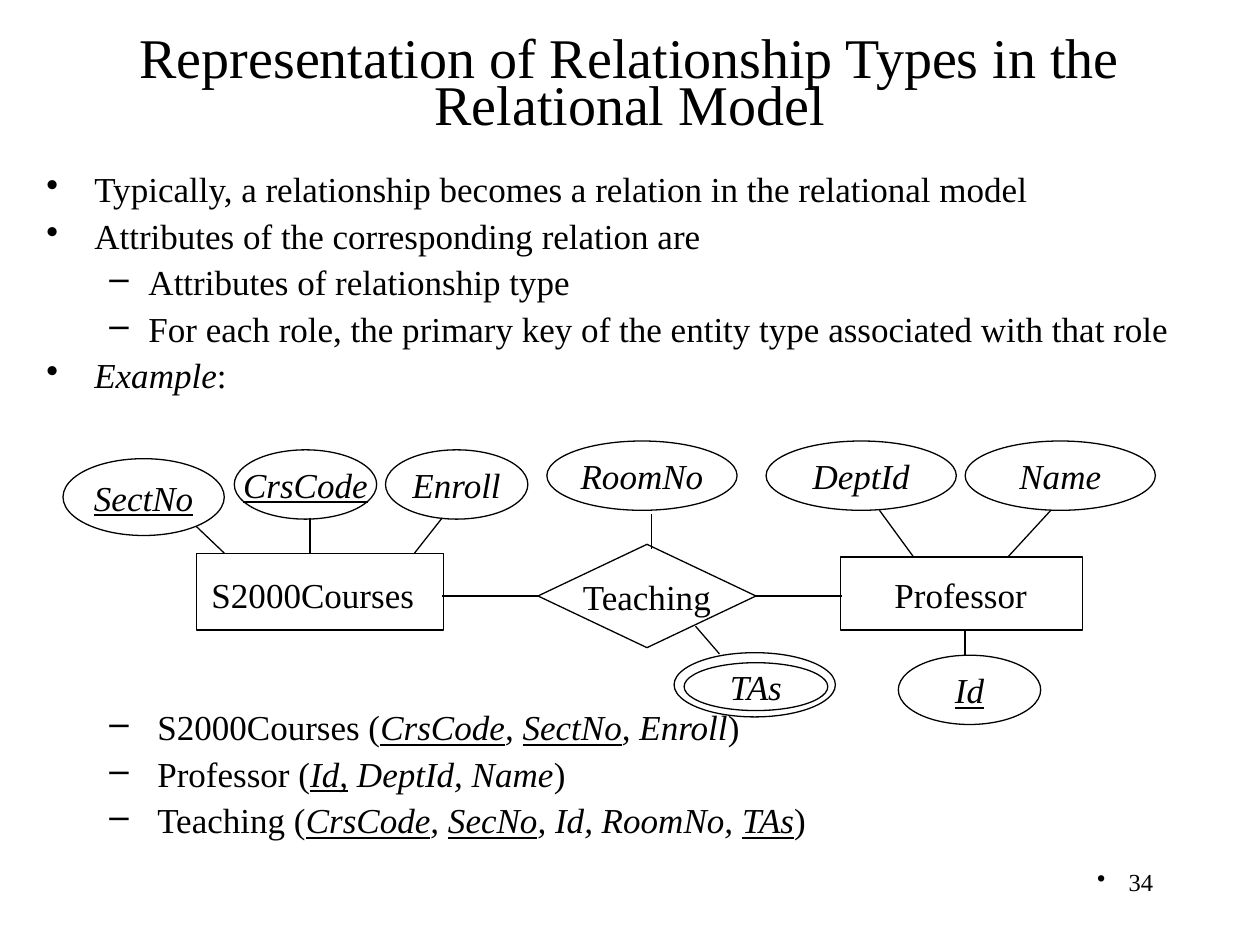
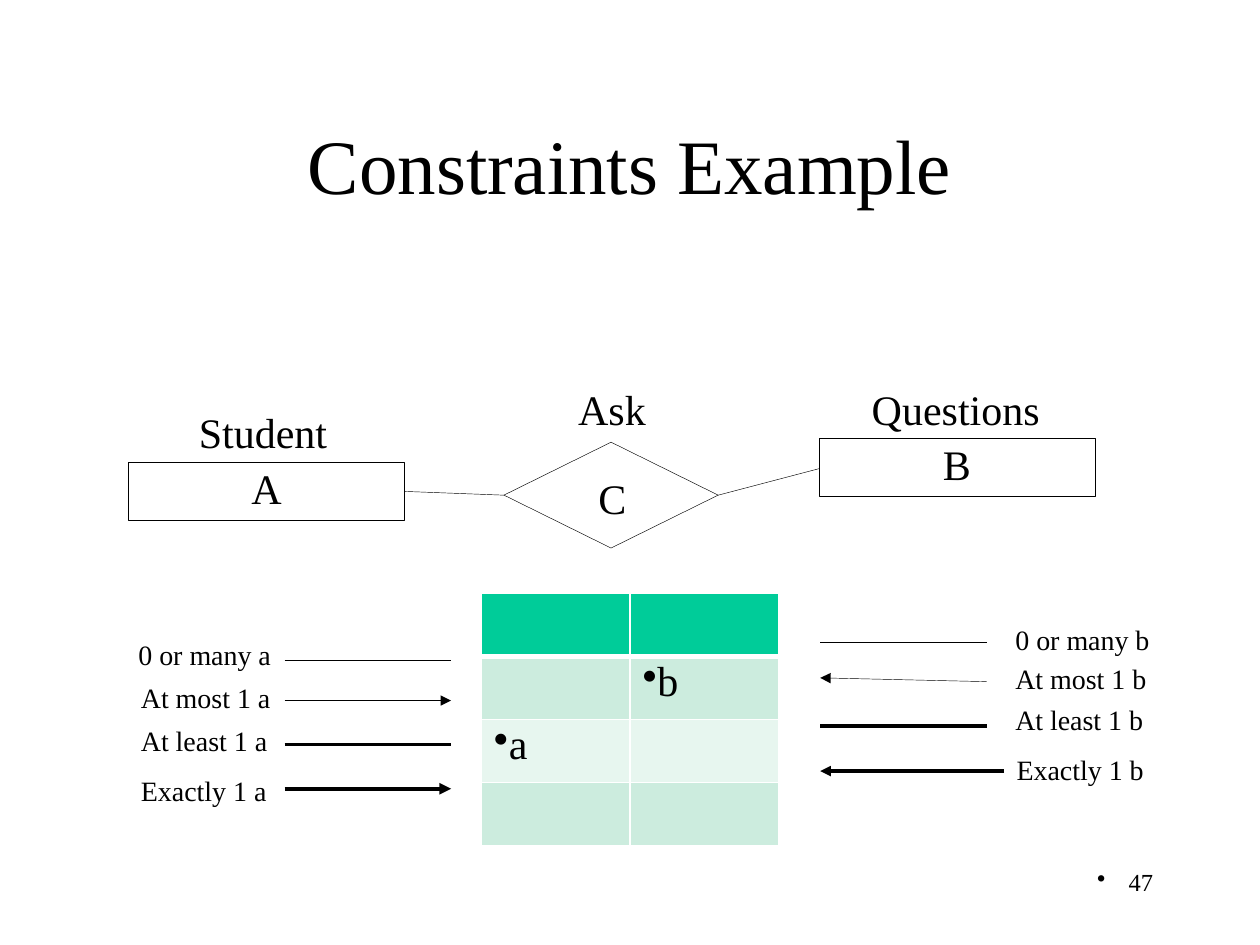
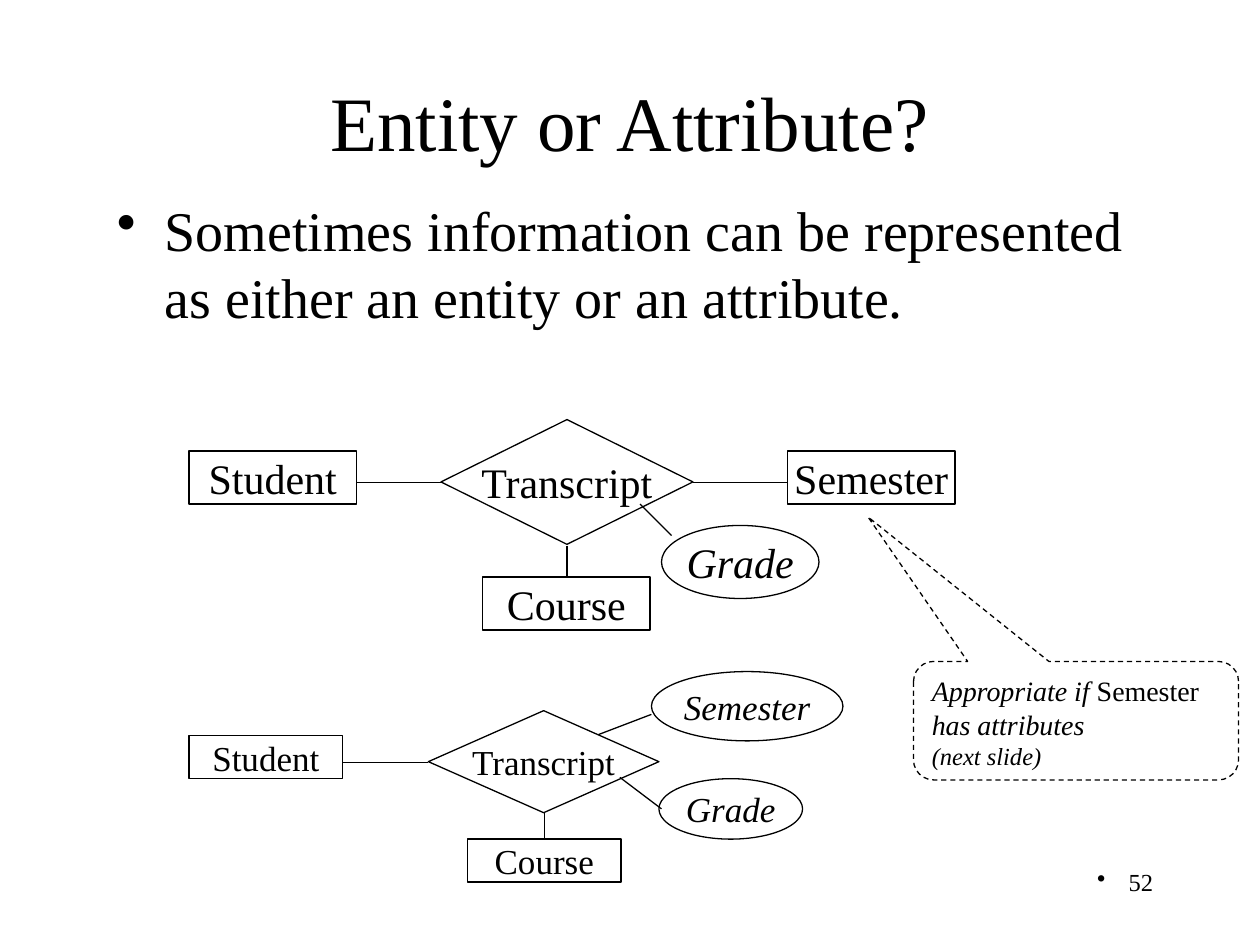
from dataclasses import dataclass
from typing import NamedTuple

from lxml.etree import SubElement
from pptx import Presentation
from pptx.dml.color import RGBColor
from pptx.enum.dml import MSO_LINE
from pptx.enum.shapes import MSO_CONNECTOR, MSO_SHAPE
from pptx.enum.text import MSO_ANCHOR, PP_ALIGN
from pptx.oxml import parse_xml
from pptx.oxml.ns import nsdecls, qn
from pptx.util import Inches, Pt


@dataclass(frozen=True)
class Theme:
    font: str = "Times New Roman"
    ink: RGBColor = RGBColor(0, 0, 0)
    paper: RGBColor = RGBColor(0xFF, 0xFF, 0xFF)
    header: RGBColor = RGBColor(0x00, 0xCC, 0x99)
    band: RGBColor = RGBColor(0xCC, 0xEC, 0xDE)
    band_light: RGBColor = RGBColor(0xE7, 0xF6, 0xEF)
    title: int = 44
    heading: int = 32
    large: int = 24
    medium: int = 20
    small: int = 16
    tiny: int = 14
    thin: float = 0.25
    line: float = 0.75
    thick: float = 2


THEME = Theme()


class Box(NamedTuple):
    x: float
    y: float
    w: float
    h: float


class Span(NamedTuple):
    text: str
    italic: bool = False
    underline: bool = False


@dataclass(frozen=True)
class Para:
    spans: tuple[Span, ...]
    bullet: str = ""
    left: float = 0
    hang: float = 0
    size: int = 0


@dataclass(frozen=True)
class Node:
    """An entity, relationship or attribute of a diagram."""
    kind: MSO_SHAPE
    box: Box
    text: str = ""
    size: int = THEME.medium
    underline: bool = False


class Link(NamedTuple):
    x1: float
    y1: float
    x2: float
    y2: float
    width: float = THEME.line
    arrow: bool = False


class Label(NamedTuple):
    text: str
    box: Box


RECT, DIAMOND, OVAL = MSO_SHAPE.RECTANGLE, MSO_SHAPE.DIAMOND, MSO_SHAPE.OVAL


# Text
def plain(text: str, **layout) -> Para:
    return Para((Span(text),), **layout)


def set_bullet(p, para: Para) -> None:
    pPr = p._p.get_or_add_pPr()
    pPr.set("marL", str(Inches(para.left)))
    pPr.set("indent", str(-Inches(para.hang)))
    SubElement(pPr, qn("a:buChar")).set("char", para.bullet)


def write(tf, paras: list[Para], size: int, align=PP_ALIGN.LEFT,
          spacing: float = 1, before: float = 0) -> None:
    for i, para in enumerate(paras):
        p = tf.add_paragraph() if i else tf.paragraphs[0]
        if para.bullet:
            set_bullet(p, para)
        p.alignment = align
        p.line_spacing = spacing
        p.space_before = Pt(before if i else 0)
        for span in para.spans:
            r = p.add_run()
            r.text = span.text
            r.font.name = THEME.font
            r.font.size = Pt(para.size or size)
            r.font.color.rgb = THEME.ink
            r.font.italic = span.italic
            r.font.underline = span.underline


def add_text(s, box: Box, paras: list[Para], size: int, wrap: bool = True,
             anchor=MSO_ANCHOR.TOP, **layout) -> None:
    tf = s.shapes.add_textbox(*map(Inches, box)).text_frame
    tf.word_wrap = wrap
    tf.vertical_anchor = anchor
    write(tf, paras, size, **layout)


def add_labels(s, labels: list[Label], size: int, spacing: float = 1) -> None:
    for label in labels:
        add_text(s, label.box, [plain(label.text)], size, wrap=False, spacing=spacing)


# Shapes and lines
def add_outline(s, kind, box: Box, width: float = THEME.line):
    sp = s.shapes.add_shape(kind, *map(Inches, box))
    sp.shadow.inherit = False
    sp.fill.background()
    sp.line.color.rgb = THEME.ink
    sp.line.width = Pt(width)
    return sp


def add_nodes(s, nodes: list[Node]) -> None:
    for node in nodes:
        sp = add_outline(s, node.kind, node.box)
        if node.text:
            tf = sp.text_frame
            tf.word_wrap = False
            tf.vertical_anchor = MSO_ANCHOR.MIDDLE
            span = Span(node.text, node.kind == OVAL, node.underline)
            write(tf, [Para((span,))], node.size, PP_ALIGN.CENTER)


def add_links(s, links: list[Link]) -> None:
    for link in links:
        cx = s.shapes.add_connector(MSO_CONNECTOR.STRAIGHT, *map(Inches, link[:4]))
        cx.line.color.rgb = THEME.ink
        cx.line.width = Pt(link.width)
        if link.arrow:
            SubElement(cx.line._get_or_add_ln(), qn("a:tailEnd")).set("type", "triangle")
        SubElement(cx.element.spPr, qn("a:effectLst"))


# Frame shared by all slides
def add_slide(prs, title: str, box: Box, number: int,
              size: int = THEME.title, spacing: float = 1):
    s = prs.slides.add_slide(prs.slide_layouts[6])
    s.background.fill.solid()
    s.background.fill.fore_color.rgb = THEME.paper
    add_text(s, box, [plain(title)], size, anchor=MSO_ANCHOR.MIDDLE,
             align=PP_ALIGN.CENTER, spacing=spacing)
    add_text(s, Box(7.17, 6.83, 2.08, 0.5),
             [plain(str(number), bullet="•", left=0.25, hang=0.25)],
             THEME.tiny, align=PP_ALIGN.RIGHT)
    return s


# Slide: relationship types
def relationship_slide(prs) -> None:
    s = add_slide(prs, "Representation of Relationship Types in the Relational Model",
                  Box(0.75, 0.25, 8.5, 0.9), 34, THEME.heading, 0.7)
    top = dict(bullet="•", left=0.38, hang=0.38)
    sub = dict(bullet="–", left=0.81, hang=0.31)
    schema = dict(bullet="–", left=0.88, hang=0.38)
    rules = [
        plain("Typically, a relationship becomes a relation in the relational model", **top),
        plain("Attributes of the corresponding relation are", **top),
        plain("Attributes of relationship type", **sub),
        plain("For each role, the primary key of the entity type associated with that role",
              **sub),
        Para((Span("Example", True), Span(":")), **top),
    ]
    crs_code, comma = Span("CrsCode", True, True), Span(", ", True)
    schemas = [
        Para((Span("S2000Courses ("), crs_code, comma, Span("SectNo", True, True),
              Span(", Enroll", True), Span(")")), **schema),
        Para((Span("Professor ("), Span("Id,", True, True),
              Span(" DeptId, Name", True), Span(")")), **schema),
        Para((Span("Teaching ("), crs_code, comma, Span("SecNo", True, True),
              Span(", Id, RoomNo, ", True), Span("TAs", True, True), Span(")")), **schema),
    ]
    for y, h, paras in ((1.32, 1.9, rules), (5.59, 1.2, schemas)):
        add_text(s, Box(0.27, y, 9.42, h), paras, THEME.medium, spacing=0.9, before=5)

    add_nodes(s, [
        Node(RECT, Box(6.67, 4.42, 1.92, 0.58)),
        Node(RECT, Box(1.56, 4.39, 1.96, 0.61)),
        Node(DIAMOND, Box(4.27, 4.32, 1.73, 0.82), "Teaching"),
        Node(OVAL, Box(6.08, 3.5, 1.51, 0.55), "DeptId"),
        Node(OVAL, Box(7.66, 3.5, 1.51, 0.55), "Name"),
        Node(OVAL, Box(4.34, 3.5, 1.51, 0.55), "RoomNo"),
        Node(OVAL, Box(1.86, 3.57, 1.13, 0.55), "CrsCode", underline=True),
        Node(OVAL, Box(3.06, 3.57, 1.13, 0.55), "Enroll"),
        Node(OVAL, Box(0.5, 3.64, 1.28, 0.61), "SectNo", underline=True),
        Node(OVAL, Box(7.13, 5.2, 1.13, 0.55), "Id", underline=True),
        Node(OVAL, Box(5.43, 5.26, 1.14, 0.38), "TAs"),
        Node(OVAL, Box(5.35, 5.18, 1.28, 0.51)),
    ])
    add_labels(s, [Label("S2000Courses", Box(1.58, 4.5, 1.81, 0.43)),
                   Label("Professor", Box(7, 4.5, 1.25, 0.43))], THEME.medium)
    add_links(s, [
        Link(8.34, 4.05, 8, 4.42), Link(6.98, 4.05, 7.25, 4.42),
        Link(5.17, 4.08, 5.17, 4.36), Link(3.51, 4.11, 3.29, 4.39),
        Link(2.46, 4.11, 2.46, 4.39), Link(1.56, 4.18, 1.78, 4.39),
        Link(4.27, 4.73, 3.51, 4.73), Link(6, 4.73, 6.68, 4.73),
        Link(7.66, 5, 7.66, 5.2), Link(5.52, 4.97, 5.71, 5.19),
    ])


# Slide: constraints
def set_borders(cell, widths: dict[str, float]) -> None:
    tcPr = cell._tc.get_or_add_tcPr()
    for i, (side, width) in enumerate(widths.items()):
        tcPr.insert(i, parse_xml(
            f'<a:ln{side} {nsdecls("a")} w="{Pt(width)}"><a:solidFill>'
            f'<a:srgbClr val="{THEME.paper}"/></a:solidFill></a:ln{side}>'))


def add_pair_table(s) -> None:
    fills = (THEME.header, THEME.band, THEME.band_light, THEME.band)
    entries = {(1, 1): "b", (2, 0): "a"}
    table = s.shapes.add_table(len(fills), 2, Inches(3.82), Inches(4.71),
                               Inches(2.36), Inches(2)).table
    table.first_row = table.horz_banding = False
    for row, fill in enumerate(fills):
        table.rows[row].height = Inches(0.5)
        for col in range(2):
            cell = table.cell(row, col)
            cell.fill.solid()
            cell.fill.fore_color.rgb = fill
            set_borders(cell, {"L": 1, "R": 1, "T": 3 if row == 1 else 1,
                               "B": 3 if row == 0 else 1})
            if (row, col) in entries:
                write(cell.text_frame, [plain(entries[row, col], bullet="•")],
                      THEME.large, spacing=0.9)


def constraints_slide(prs) -> None:
    s = add_slide(prs, "Constraints Example", Box(0.75, 0.67, 8.5, 1.25), 47)
    for text, x, y in (("A", 1.02, 3.67), ("B", 6.5, 3.48)):
        sp = add_outline(s, RECT, Box(x, y, 2.19, 0.46), THEME.thin)
        sp.fill.solid()
        sp.fill.fore_color.rgb = THEME.paper
        sp.text_frame.vertical_anchor = MSO_ANCHOR.TOP
        write(sp.text_frame, [plain(text)], THEME.large, PP_ALIGN.CENTER, 0.9)
    add_outline(s, MSO_SHAPE.FLOWCHART_DECISION, Box(4, 3.51, 1.7, 0.84), THEME.thin)
    add_labels(s, [
        Label("C", Box(4.65, 3.75, 0.43, 0.46)),
        Label("Student", Box(1.48, 3.22, 1.23, 0.46)),
        Label("Questions", Box(6.82, 3.04, 1.55, 0.46)),
        Label("Ask", Box(4.49, 3.04, 0.75, 0.46)),
    ], THEME.large, 0.9)
    add_pair_table(s)

    # Legend of line styles on both sides
    add_labels(s, [
        Label("0 or many a", Box(1, 5.04, 1.27, 0.34)),
        Label("At most 1 a", Box(1.02, 5.38, 1.25, 0.34)),
        Label("At least 1 a", Box(1.02, 5.72, 1.22, 0.34)),
        Label("Exactly 1 a", Box(1.02, 6.12, 1.21, 0.34)),
        Label("0 or many b", Box(7.96, 4.92, 1.28, 0.34)),
        Label("At most 1 b", Box(7.96, 5.23, 1.26, 0.34)),
        Label("At least 1 b", Box(7.96, 5.56, 1.23, 0.34)),
        Label("Exactly 1 b", Box(7.97, 5.95, 1.23, 0.34)),
    ], THEME.small, 0.9)
    add_links(s, [
        Link(5.7, 3.93, 6.5, 3.72, THEME.thin),
        Link(3.21, 3.9, 4, 3.93, THEME.thin),
        Link(2.26, 5.24, 3.58, 5.24, THEME.thin),
        Link(2.26, 5.56, 3.58, 5.56, THEME.thin, True),
        Link(2.26, 5.91, 3.58, 5.91, THEME.thick),
        Link(2.26, 6.26, 3.58, 6.26, 2.25, True),
        Link(6.51, 5.1, 7.83, 5.1, THEME.thin),
        Link(7.83, 5.41, 6.51, 5.38, THEME.thin, True),
        Link(6.51, 5.76, 7.83, 5.76, THEME.thick),
        Link(7.97, 6.12, 6.51, 6.12, THEME.thick, True),
    ])


# Slide: entity or attribute
def entity_slide(prs) -> None:
    s = add_slide(prs, "Entity or Attribute?", Box(0.75, 0.33, 8.5, 1.25), 52)
    add_text(s, Box(0.83, 1.5, 8.33, 1.17), [plain(
        "Sometimes information can be represented as either an entity or an attribute.",
        bullet="•", left=0.38, hang=0.38)], THEME.heading)
    add_nodes(s, [
        Node(RECT, Box(1.5, 3.58, 1.33, 0.42), "Student", THEME.large),
        Node(RECT, Box(6.25, 3.58, 1.33, 0.42), "Semester", THEME.large),
        Node(RECT, Box(3.83, 4.58, 1.33, 0.42), "Course", THEME.large),
        Node(DIAMOND, Box(3.5, 3.33, 2, 0.99), "Transcript", THEME.large),
        Node(OVAL, Box(5.25, 4.17, 1.25, 0.58), "Grade", THEME.large),
        Node(RECT, Box(1.5, 5.84, 1.22, 0.34), "Student"),
        Node(RECT, Box(3.71, 6.66, 1.22, 0.34), "Course"),
        Node(DIAMOND, Box(3.4, 5.64, 1.83, 0.81), "Transcript"),
        Node(OVAL, Box(5.23, 6.18, 1.14, 0.48), "Grade"),
        Node(OVAL, Box(5.17, 5.33, 1.52, 0.55), "Semester"),
    ])
    add_links(s, [
        Link(3.5, 3.83, 2.83, 3.83), Link(5.5, 3.83, 6.25, 3.83),
        Link(4.5, 4.33, 4.5, 4.58), Link(4.32, 6.45, 4.32, 6.66),
        Link(3.4, 6.05, 2.72, 6.05), Link(5.33, 4.25, 5.08, 4),
        Link(5.17, 5.67, 4.75, 5.83), Link(5.25, 6.42, 4.92, 6.17),
    ])
    callout = add_outline(s, MSO_SHAPE.ROUNDED_RECTANGULAR_CALLOUT,
                          Box(7.25, 5.25, 2.58, 0.94))
    callout.line.dash_style = MSO_LINE.DASH
    for i, value in enumerate((-0.64, -1.72, 0.17)):
        callout.adjustments[i] = value
    callout.text_frame.vertical_anchor = MSO_ANCHOR.TOP
    write(callout.text_frame, [
        Para((Span("Appropriate if ", True), Span("Semester "),
              Span("has attributes", True))),
        Para((Span("(next slide)", True),), size=THEME.tiny),
    ], THEME.small)


def main() -> None:
    prs = Presentation()
    prs.slide_width, prs.slide_height = Inches(10), Inches(7.5)
    relationship_slide(prs)
    constraints_slide(prs)
    entity_slide(prs)
    prs.save("out.pptx")


if __name__ == "__main__":
    main()
